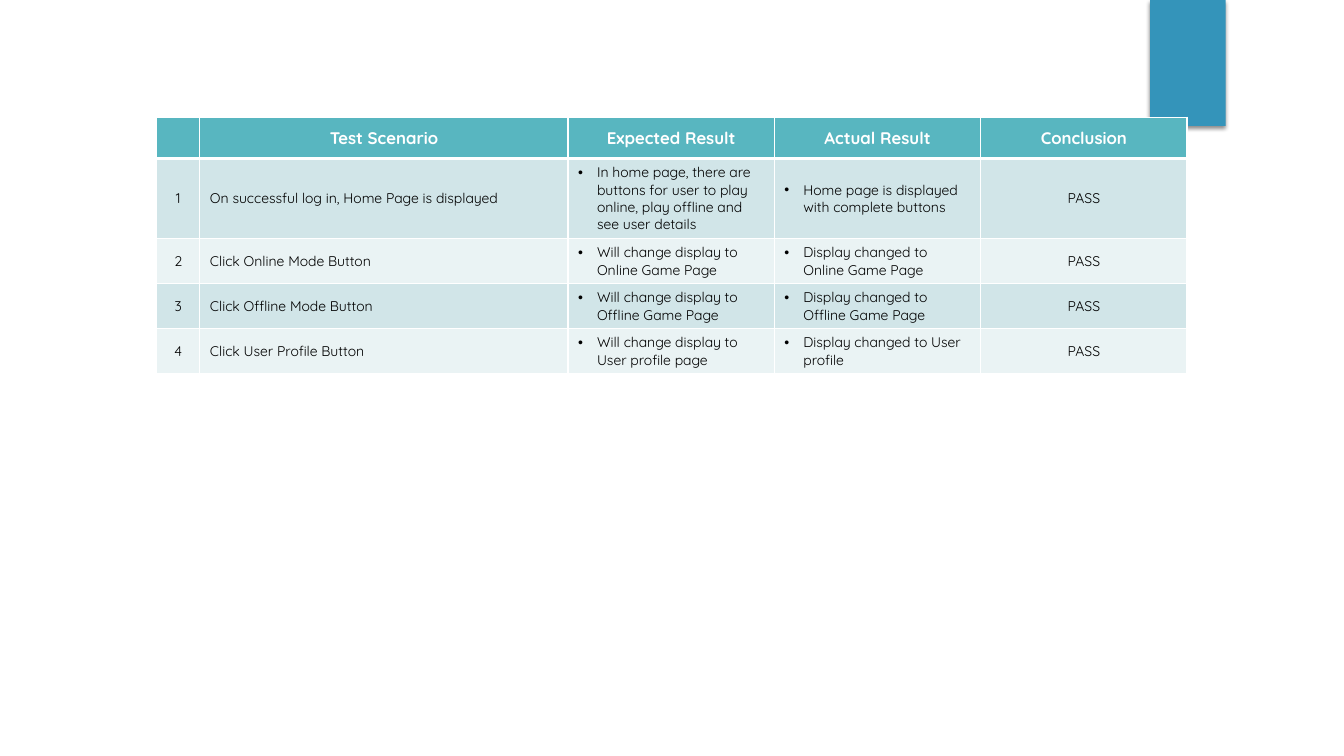
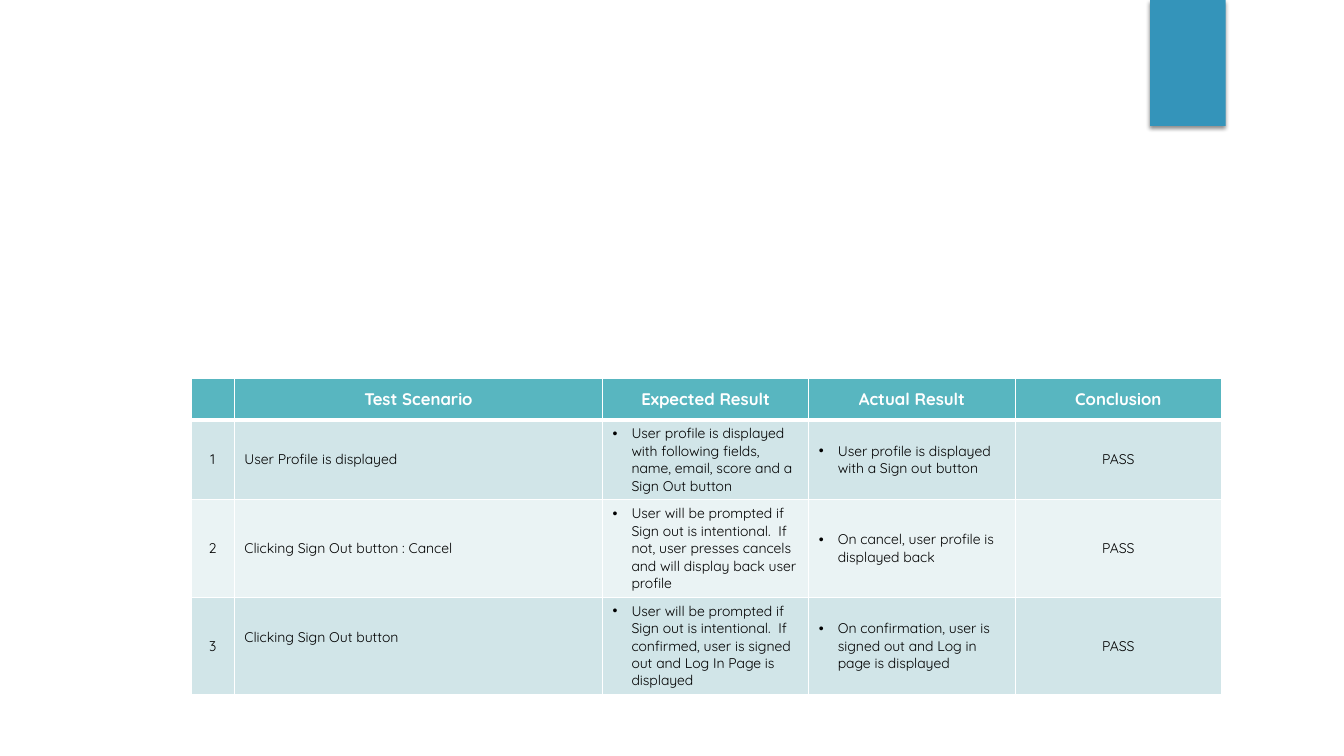
from dataclasses import dataclass

from lxml import etree
from pptx import Presentation
from pptx.dml.color import RGBColor
from pptx.enum.shapes import MSO_SHAPE
from pptx.enum.text import MSO_ANCHOR, PP_ALIGN
from pptx.oxml.ns import qn
from pptx.util import Pt

RECTANGLE = MSO_SHAPE.RECTANGLE
MIDDLE = MSO_ANCHOR.MIDDLE
CENTER, LEFT = PP_ALIGN.CENTER, PP_ALIGN.LEFT
BLANK_LAYOUT = 6


@dataclass(frozen=True)
class Theme:
    font: str = "Quicksand"
    header_size: float = 12
    body_size: float = 10
    tab: str = "3494BA"
    header: str = "58B6C0"
    bands: tuple = ("D1E5E8", "EAF3F4")
    white: str = "FFFFFF"
    black: str = "000000"
    thin_border: float = 1
    thick_border: float = 3
    bullet_indent: float = 13.5


THEME = Theme()
TAB_BOX = (821.5, 0, 54, 90)
HEADERS = ("", "Test Scenario", "Expected Result", "Actual Result", "Conclusion")
COLUMN_WIDTHS = (31, 263, 147.4, 147.4, 147.4)
BULLET_COLUMNS = (2, 3)
SCENARIO_COLUMN = 1
HEADER_HEIGHT = 29.5
LINE_HEIGHT = 12.5
CELL_MARGIN = 3.6

# Each test: scenario, expected result, actual result, row height
HOME_PAGE_TESTS = (
    ("On successful log in, Home Page is displayed",
     "In home page, there are buttons for user to play online, play offline and see user details",
     "Home page is displayed with complete buttons", 56.5),
    ("Click Online Mode Button",
     "Will change display to Online Game Page",
     "Display changed to Online Game Page", 32),
    ("Click Offline Mode Button",
     "Will change display to Offline Game Page",
     "Display changed to Offline Game Page", 32),
    ("Click User Profile Button",
     "Will change display to User profile page",
     "Display changed to User profile", 32),
)
PROFILE_TESTS = (
    ("User Profile is displayed",
     "User profile is displayed with following fields, name, email, score and a Sign Out button",
     "User profile is displayed with a Sign out button", 56.5),
    ("Clicking Sign Out button : Cancel",
     "User will be prompted if Sign out is intentional.  If not, user presses cancels "
     "and will display back user profile",
     "On cancel, user profile is displayed back", 69.5),
    ("Clicking Sign Out button",
     "User will be prompted if Sign out is intentional.  If confirmed, user is signed out "
     "and Log In Page is displayed",
     "On confirmation, user is signed out and Log in page is displayed", 69),
)


def add_color(parent, color):
    node = etree.SubElement(parent, qn("a:srgbClr"), val=color)
    return node


def add_corner_tab(slide, box):
    """Blue tab hanging from the top edge, with a soft shadow."""
    shape = slide.shapes.add_shape(RECTANGLE, *(Pt(length) for length in box))
    shape.fill.solid()
    shape.fill.fore_color.rgb = RGBColor.from_string(THEME.tab)
    shape.line.fill.background()
    shape.shadow.inherit = False
    effects = shape.element.spPr.find(qn("a:effectLst"))
    shadow = etree.SubElement(effects, qn("a:outerShdw"), blurRad=str(Pt(3)),
                              dist=str(Pt(2)), dir="5400000", rotWithShape="0")
    color = add_color(shadow, THEME.black)
    etree.SubElement(color, qn("a:alpha"), val="45000")


def set_borders(cell, top, bottom):
    properties = cell._tc.get_or_add_tcPr()
    widths = {"a:lnL": THEME.thin_border, "a:lnR": THEME.thin_border,
              "a:lnT": top, "a:lnB": bottom}
    for tag, width in widths.items():
        line = etree.SubElement(properties, qn(tag), w=str(Pt(width)))
        add_color(etree.SubElement(line, qn("a:solidFill")), THEME.white)


def set_bullet(paragraph):
    properties = paragraph._p.get_or_add_pPr()
    indent = Pt(THEME.bullet_indent)
    properties.set("marL", str(indent))
    properties.set("indent", str(-indent))
    etree.SubElement(properties, qn("a:buFont"), typeface="Arial")
    etree.SubElement(properties, qn("a:buChar"), char="•")


def fill_cell(cell, text, row, column):
    is_header = row == 0
    # Borders come before the fill in the cell properties
    set_borders(cell,
                top=THEME.thick_border if row == 1 else THEME.thin_border,
                bottom=THEME.thick_border if is_header else THEME.thin_border)
    cell.fill.solid()
    color = THEME.header if is_header else THEME.bands[(row - 1) % 2]
    cell.fill.fore_color.rgb = RGBColor.from_string(color)
    cell.vertical_anchor = MIDDLE
    if not text:
        return

    paragraph = cell.text_frame.paragraphs[0]
    is_bullet = not is_header and column in BULLET_COLUMNS
    is_left = is_bullet or (not is_header and column == SCENARIO_COLUMN)
    paragraph.alignment = LEFT if is_left else CENTER
    if is_bullet:
        set_bullet(paragraph)
    run = paragraph.add_run()
    run.text = text
    run.font.name = THEME.font
    run.font.size = Pt(THEME.header_size if is_header else THEME.body_size)
    run.font.bold = is_header
    run.font.color.rgb = RGBColor.from_string(THEME.white if is_header else THEME.black)


def add_test_table(slide, left, top, tests):
    """Header row plus one numbered row for each test."""
    rows = [HEADERS] + [(str(number), *test[:3], "PASS")
                        for number, test in enumerate(tests, start=1)]
    heights = [HEADER_HEIGHT] + [test[3] for test in tests]
    frame = slide.shapes.add_table(len(rows), len(HEADERS), Pt(left), Pt(top),
                                   Pt(sum(COLUMN_WIDTHS)), Pt(sum(heights)))
    table = frame.table
    table.horz_banding = False
    for column, width in zip(table.columns, COLUMN_WIDTHS):
        column.width = Pt(width)
    for row, height in zip(table.rows, heights):
        row.height = Pt(height)
    for row, texts in enumerate(rows):
        for column, text in enumerate(texts):
            fill_cell(table.cell(row, column), text, row, column)
    return table


def add_test_slide(presentation, left, top, tests):
    slide = presentation.slides.add_slide(presentation.slide_layouts[BLANK_LAYOUT])
    add_corner_tab(slide, TAB_BOX)
    return add_test_table(slide, left, top, tests)


def main():
    presentation = Presentation()
    presentation.slide_width = Pt(960)
    presentation.slide_height = Pt(540)

    add_test_slide(presentation, 111.8, 83.8, HOME_PAGE_TESTS)
    profile_table = add_test_slide(presentation, 136.4, 270.3, PROFILE_TESTS)

    # The last scenario sits half a line above the middle of its row
    last_scenario = profile_table.cell(len(PROFILE_TESTS), SCENARIO_COLUMN)
    last_scenario.margin_bottom = Pt(CELL_MARGIN + LINE_HEIGHT)

    presentation.save("out.pptx")


if __name__ == "__main__":
    main()
